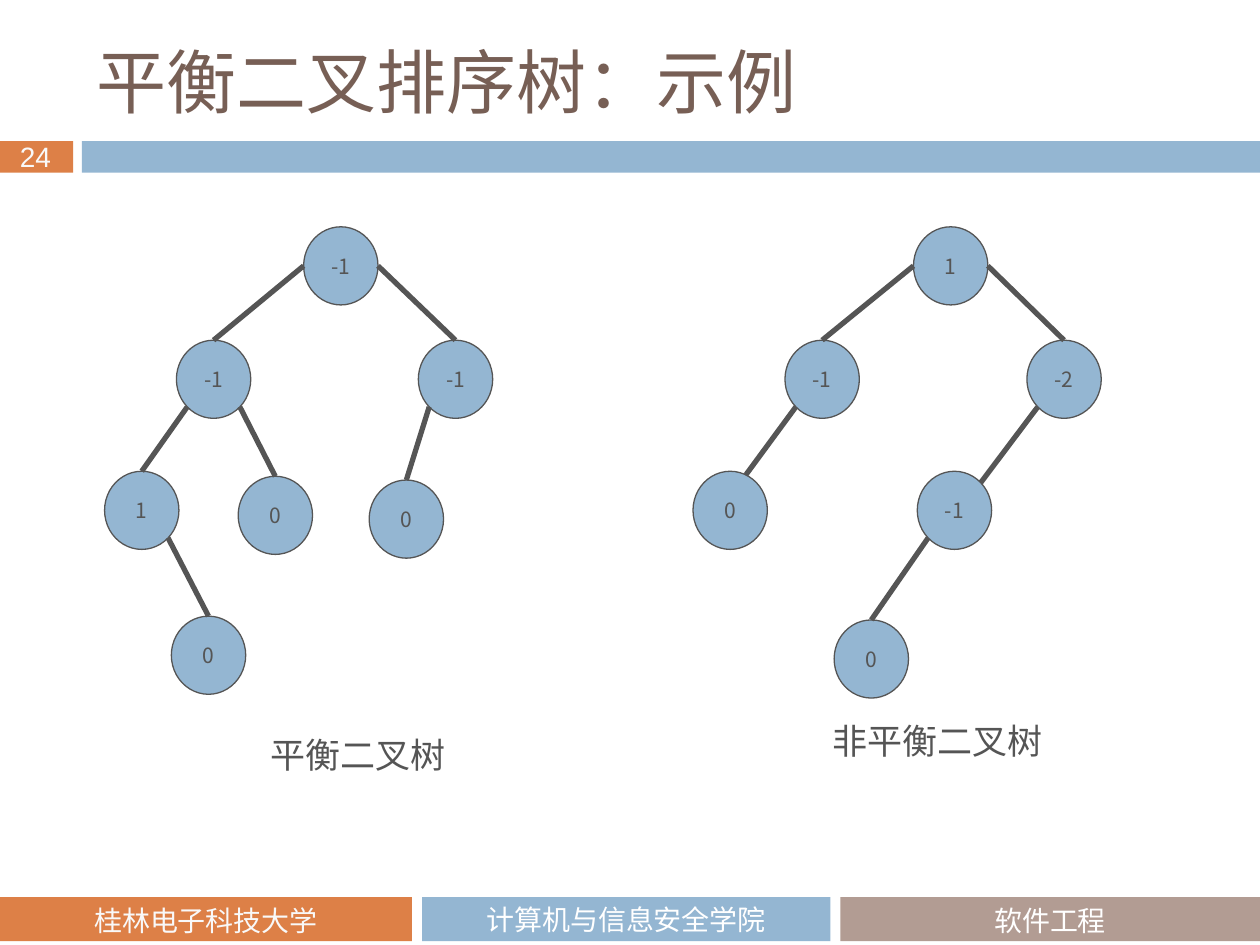
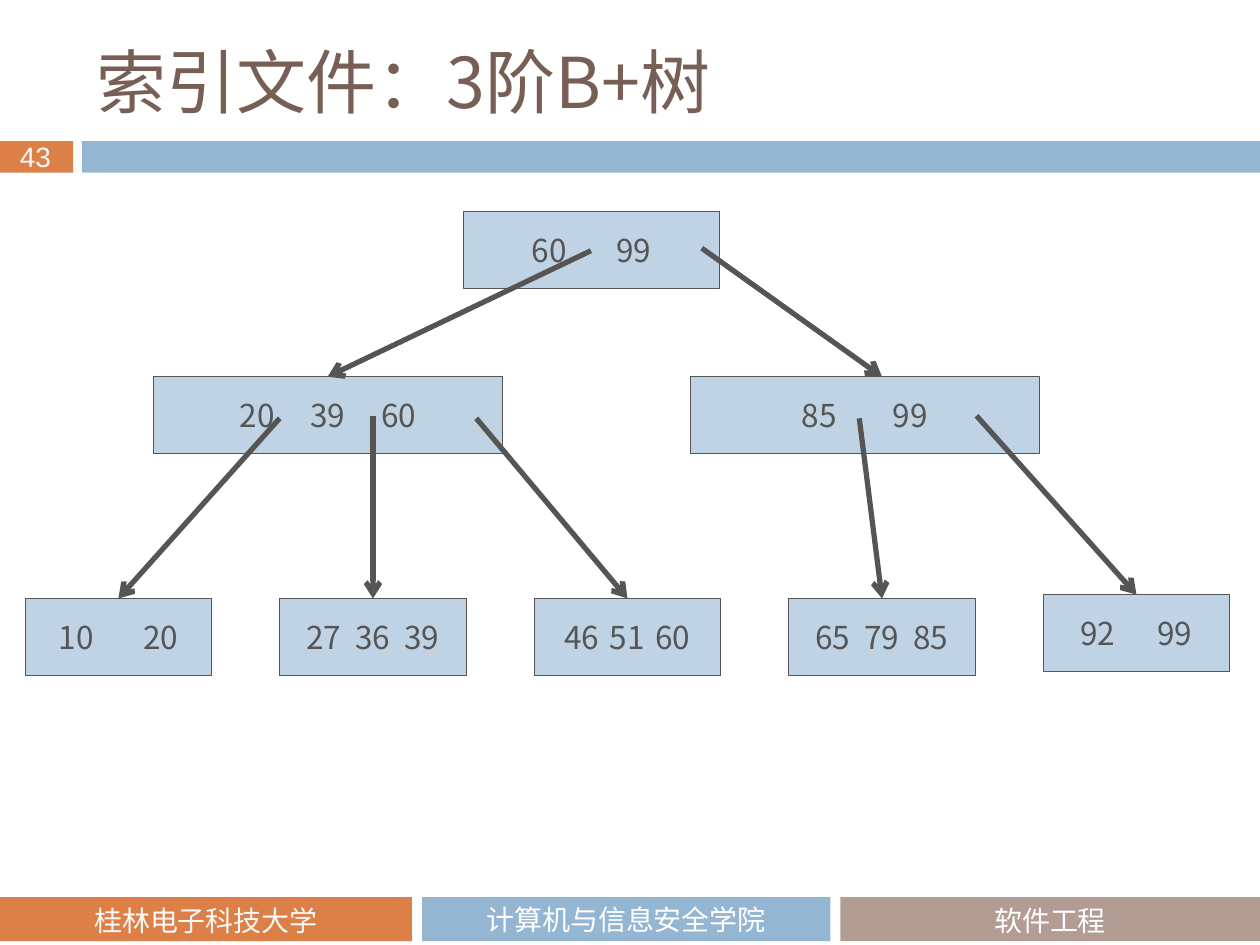
"""Build two slides on balanced binary trees and a B+ tree index."""
import math

import pptx
import pptx.dml.color
import pptx.enum.shapes
import pptx.enum.text
import pptx.oxml
import pptx.oxml.ns
import pptx.util
from pptx.util import Inches

ORANGE, BLUE, TAUPE, PALE = "DD8047", "94B6D2", "B29C93", "BFD3E4"
INK, TITLE, WHITE, OFF_WHITE = "555555", "775F55", "FFFFFF", "F9F9F9"
SANS, TITLE_FONT = "Noto Sans CJK SC", "Noto Sans CJK JP"
MIDDLE = pptx.enum.text.MSO_ANCHOR.MIDDLE
TOP = pptx.enum.text.MSO_ANCHOR.TOP
CENTER = pptx.enum.text.PP_ALIGN.CENTER
LEFT = pptx.enum.text.PP_ALIGN.LEFT
RECT = pptx.enum.shapes.MSO_SHAPE.RECTANGLE
OVAL = pptx.enum.shapes.MSO_SHAPE.OVAL

NODE_W, NODE_H = 0.59, 0.62
BOX_H, DIGITS_W = 0.61, 0.28
LEAF_W, LEAF_PITCH = 1.48, 2.02
WEST, SOUTH_WEST, SOUTH_EAST, EAST, NORTH, NORTH_EAST = 180, 225, 315, 0, 90, 45


def rgb(code):
    """Return the colour for a hex string."""
    return pptx.dml.color.RGBColor.from_string(code)


def add_element(parent, tag, **attributes):
    """Append a DrawingML element with attributes and return it."""
    el = pptx.oxml.parse_xml(f"<a:{tag} {pptx.oxml.ns.nsdecls('a')}/>")
    for name, value in attributes.items():
        el.set(name, str(value))
    parent.append(el)
    return el


def write(sp, text, size=12, font=SANS, color=INK, align=LEFT, anchor=TOP, wrap=True, tabs=()):
    """Put one formatted paragraph into a shape."""
    tf = sp.text_frame
    tf.word_wrap, tf.vertical_anchor = wrap, anchor
    p = tf.paragraphs[0]
    p.alignment = align
    if tabs:
        stops = add_element(p._p.get_or_add_pPr(), "tabLst")
        for tab in tabs:
            add_element(stops, "tab", pos=Inches(tab), algn="l")
    r = p.add_run()
    r.text = text
    r.font.size, r.font.name = pptx.util.Pt(size), font
    r.font.color.rgb = rgb(color)
    add_element(r._r.get_or_add_rPr(), "ea", typeface=SANS if font == "Calibri" else font)


def add_text(s, at, text, **fmt):
    """Add a text box."""
    write(s.shapes.add_textbox(*map(Inches, at)), text, **fmt)


def add_box(s, at, fill, kind=RECT, line=None):
    """Add a filled preset shape, outlined if a line colour is given."""
    sp = s.shapes.add_shape(kind, *map(Inches, at))
    sp.shadow.inherit = False
    sp.fill.solid()
    sp.fill.fore_color.rgb = rgb(fill)
    if line:
        sp.line.color.rgb, sp.line.width = rgb(line), pptx.util.Pt(0.75)
    else:
        sp.line.fill.background()
    return sp


def add_line(s, start, end, arrow=False):
    """Add a thick straight line, with an optional arrowhead at its end."""
    straight = pptx.enum.shapes.MSO_CONNECTOR.STRAIGHT
    sp = s.shapes.add_connector(straight, *map(Inches, (*start, *end)))
    sp.line.color.rgb, sp.line.width = rgb(INK), pptx.util.Pt(3)
    if arrow:
        add_element(sp.line._get_or_add_ln(), "tailEnd", type="arrow")
    add_element(sp._element.spPr, "effectLst")


def add_frame(prs, number, title):
    """Add a slide with the shared bands, footers, number and title."""
    s = prs.slides.add_slide(prs.slide_layouts[6])
    add_box(s, (0, 1.12, 0.58, 0.25), ORANGE)
    add_box(s, (0.65, 1.12, 9.35, 0.25), BLUE)
    add_box(s, (0, 7.12, 3.27, 0.35), ORANGE)
    footer = dict(size=16, font="Calibri", align=CENTER)
    college = add_box(s, (3.35, 7.12, 3.24, 0.35), BLUE)
    write(college, "计算机与信息安全学院", color=WHITE, anchor=MIDDLE, **footer)
    add_box(s, (6.67, 7.12, 3.33, 0.35), TAUPE)
    add_text(s, (6.67, 7.12, 3.33, 0.32), "软件工程", color=WHITE, **footer)
    add_text(s, (0, 7.12, 3.27, 0.32), "桂林电子科技大学", color=OFF_WHITE, **footer)
    add_text(s, (0.06, 1.06, 0.48, 0.37), number, size=16, font="Arial", color=OFF_WHITE, wrap=False)
    add_text(s, (0.67, 0.25, 8.92, 0.78), title, size=40, font=TITLE_FONT, color=TITLE, anchor=MIDDLE)
    return s


def rim(node, angle):
    """Return the point on a tree node's outline at an angle in degrees."""
    _, x, y = node
    turn = math.radians(angle)
    return x + NODE_W / 2 * (1 + math.cos(turn)), y + NODE_H / 2 * (1 - math.sin(turn))


def add_tree(s, nodes, edges):
    """Draw round nodes (label, x, y) and edges (parent, angle, child, angle)."""
    for label, x, y in nodes:
        sp = add_box(s, (x, y, NODE_W, NODE_H), BLUE, OVAL, INK)
        sp.text_frame.margin_left = sp.text_frame.margin_right = 0
        write(sp, label, align=CENTER, anchor=MIDDLE)
    for parent, leave, child, arrive in edges:
        add_line(s, rim(nodes[parent], leave), rim(nodes[child], arrive))


def add_index_node(s, x, y, width, keys, step):
    """Draw a B+ tree node with its keys centred at an equal step."""
    sp = add_box(s, (x, y, width, BOX_H), PALE, line=INK)
    indent = (width - step * (len(keys) - 1) - DIGITS_W) / 2
    sp.text_frame.margin_left, sp.text_frame.margin_right = Inches(indent), 0
    tabs = [step * i for i in range(1, len(keys))]
    write(sp, "\t".join(keys), size=18, anchor=MIDDLE, tabs=tabs)


def add_balance_slide(prs):
    """Compare a balanced and an unbalanced binary tree."""
    s = add_frame(prs, "24", "平衡二叉排序树：示例")
    balanced = [("-1", 2.41, 1.8), ("-1", 1.4, 2.7), ("-1", 3.32, 2.7), ("1", 0.83, 3.74),
                ("0", 1.89, 3.78), ("0", 2.93, 3.81), ("0", 1.36, 4.89)]
    add_tree(s, balanced, [(0, WEST, 1, NORTH), (0, EAST, 2, NORTH), (1, SOUTH_WEST, 3, NORTH),
                           (1, SOUTH_EAST, 4, NORTH), (2, SOUTH_WEST, 5, NORTH),
                           (3, SOUTH_EAST, 6, NORTH)])
    unbalanced = [("1", 7.25, 1.8), ("-1", 6.23, 2.7), ("-2", 8.15, 2.7),
                  ("0", 5.5, 3.74), ("-1", 7.28, 3.74), ("0", 6.62, 4.92)]
    add_tree(s, unbalanced, [(0, WEST, 1, NORTH), (0, EAST, 2, NORTH), (1, SOUTH_WEST, 3, 65),
                             (2, SOUTH_WEST, 4, NORTH_EAST), (4, SOUTH_WEST, 5, NORTH)])
    add_text(s, (2.05, 5.77, 1.6, 0.44), "平衡二叉树", size=20, wrap=False)
    add_text(s, (6.51, 5.66, 1.88, 0.44), "非平衡二叉树", size=20, wrap=False)


def add_index_slide(prs):
    """Show a B+ tree of order three."""
    s = add_frame(prs, "43", "索引文件：3阶B+树")
    add_index_node(s, 3.68, 1.68, 2.03, ("60", "99"), 0.67)
    add_index_node(s, 1.22, 2.99, 2.77, ("20", "39", "60"), 0.56)
    add_index_node(s, 5.48, 2.99, 2.77, ("85", "99"), 0.72)
    add_line(s, (4.69, 1.99), (2.6, 2.99), arrow=True)
    add_line(s, (5.57, 1.97), (7, 2.99), arrow=True)
    leaves = [
        (("10", "20"), 0.67, 4.75, (2.22, 3.32)),
        (("27", "36", "39"), 0.39, 4.75, (2.96, 3.3)),
        (("46", "51", "60"), 0.36, 4.75, (3.78, 3.32)),
        (("65", "79", "85"), 0.39, 4.75, (6.82, 3.32)),
        (("92", "99"), 0.61, 4.72, (7.75, 3.3)),
    ]
    for i, (keys, step, y, pointer) in enumerate(leaves):
        x = 0.2 + i * LEAF_PITCH
        add_index_node(s, x, y, LEAF_W, keys, step)
        add_line(s, pointer, (x + LEAF_W / 2, y), arrow=True)


def main():
    """Build and save the presentation."""
    prs = pptx.Presentation()
    prs.slide_width, prs.slide_height = Inches(10), Inches(7.5)
    add_balance_slide(prs)
    add_index_slide(prs)
    prs.save("out.pptx")


if __name__ == "__main__":
    main()
